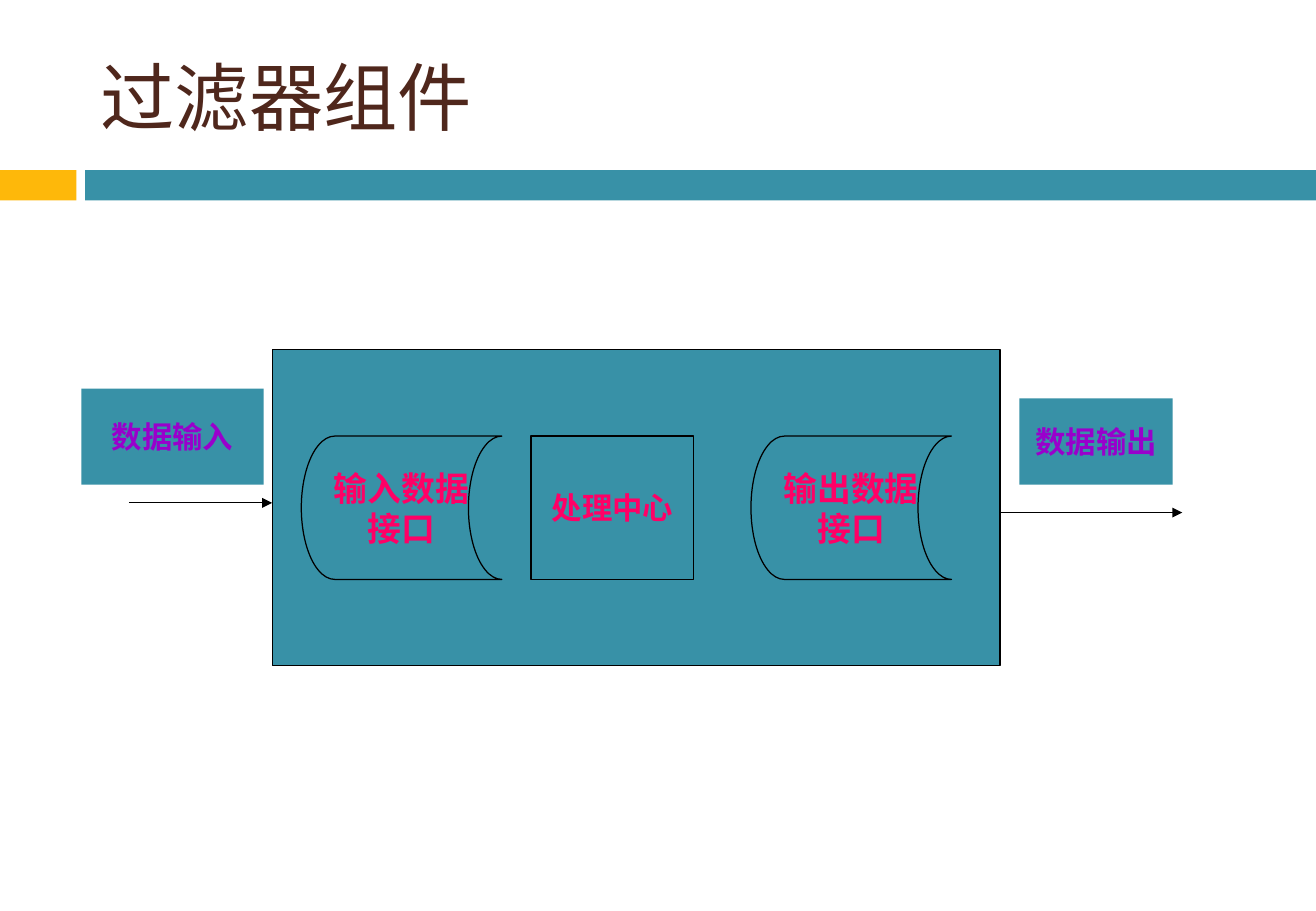
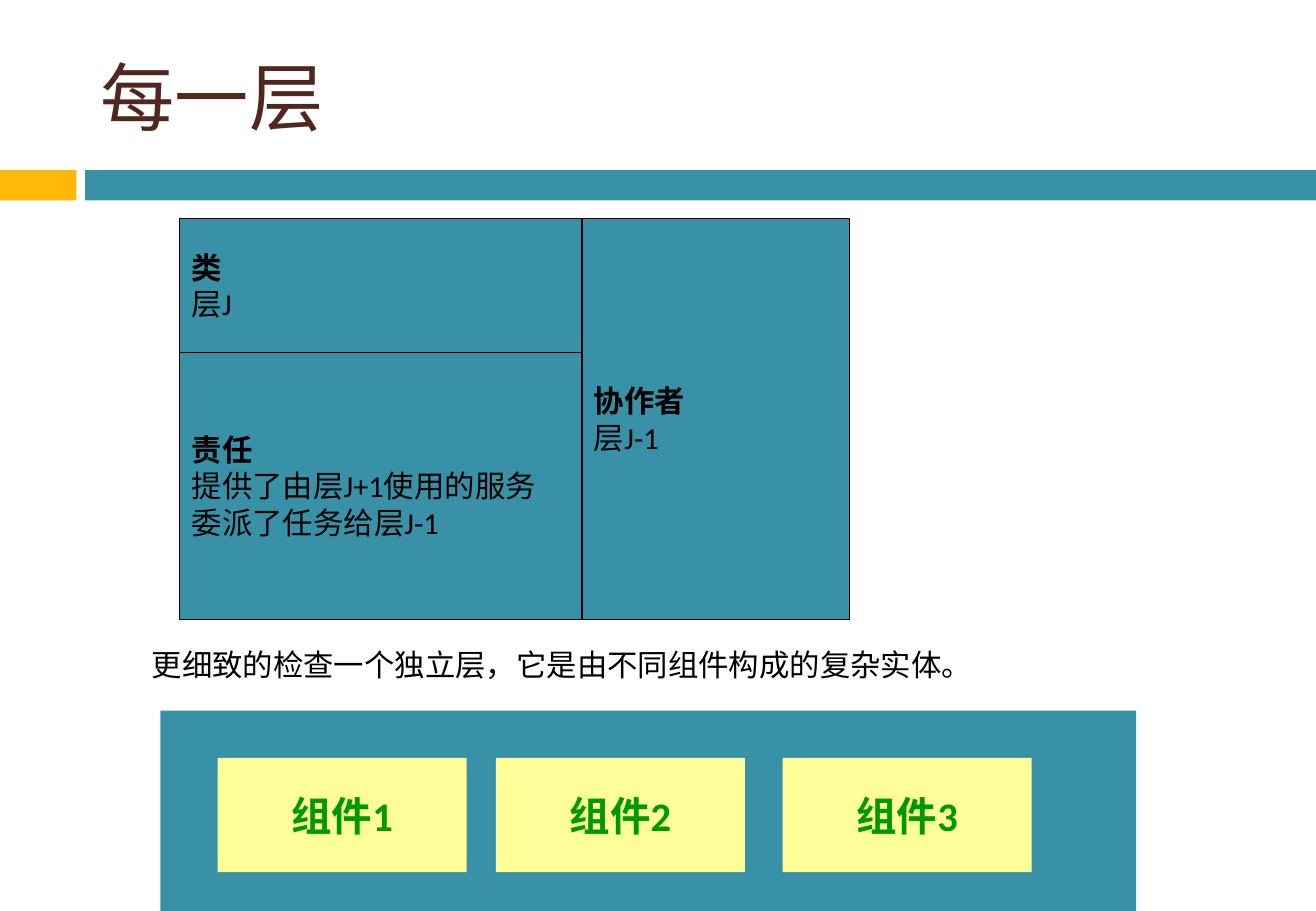
from dataclasses import dataclass
from typing import Optional

from lxml import etree
from pptx import Presentation
from pptx.dml.color import RGBColor
from pptx.enum.shapes import MSO_CONNECTOR, MSO_SHAPE
from pptx.enum.text import MSO_ANCHOR, PP_ALIGN
from pptx.oxml.ns import qn
from pptx.util import Inches, Pt

RECT = MSO_SHAPE.RECTANGLE
STORAGE = MSO_SHAPE.FLOWCHART_STORED_DATA
STRAIGHT = MSO_CONNECTOR.STRAIGHT
LEFT, CENTER = PP_ALIGN.LEFT, PP_ALIGN.CENTER
MIDDLE, TOP = MSO_ANCHOR.MIDDLE, MSO_ANCHOR.TOP

COLORS = {
    "title": "4F271C",
    "accent": "FEB80A",
    "teal": "3891A7",
    "black": "000000",
    "pink": "FF0066",
    "purple": "9900CC",
    "yellow": "FFFF99",
    "green": "009900",
}
FONT = "Calibri"
SLIDE_W, SLIDE_H = 10.83, 7.5
BAND_TOP, BAND_H, ACCENT_W, BAND_LEFT = 1.4, 0.25, 0.63, 0.7
LINE_PT = 0.75


@dataclass(frozen=True)
class TextStyle:
    size: float
    color: str
    bold: bool = False
    heading: bool = False  # only the first paragraph is bold
    align: PP_ALIGN = CENTER
    anchor: MSO_ANCHOR = MIDDLE
    wrap: bool = False


@dataclass(frozen=True)
class Box:
    left: float
    top: float
    width: float
    height: float
    lines: tuple[str, ...] = ()
    style: Optional[TextStyle] = None
    fill: str = "teal"
    outlined: bool = False
    preset: MSO_SHAPE = RECT


TITLE = TextStyle(44, "title", align=LEFT, wrap=True)
CORE = TextStyle(18, "pink", bold=True)
PORT = TextStyle(20, "pink", bold=True)
FLOW = TextStyle(18, "purple", bold=True)
CARD = TextStyle(18, "black", heading=True, align=LEFT, wrap=True)
NOTE = TextStyle(18, "black", align=LEFT, anchor=TOP, wrap=True)
COMPONENT = TextStyle(24, "green", bold=True)


def rgb(name: str) -> RGBColor:
    return RGBColor.from_string(COLORS[name])


def write(shape, lines: tuple[str, ...], style: TextStyle) -> None:
    frame = shape.text_frame
    frame.word_wrap = style.wrap
    frame.vertical_anchor = style.anchor
    for number, line in enumerate(lines):
        paragraph = frame.add_paragraph() if number else frame.paragraphs[0]
        paragraph.alignment = style.align
        run = paragraph.add_run()
        run.text = line
        bold = style.bold or (style.heading and number == 0)
        font_format = {"name": FONT, "size": Pt(style.size), "bold": bold}
        for attribute, value in font_format.items():
            setattr(run.font, attribute, value)
        run.font.color.rgb = rgb(style.color)


def add_box(slide, box: Box) -> None:
    shape = slide.shapes.add_shape(
        box.preset, Inches(box.left), Inches(box.top), Inches(box.width), Inches(box.height)
    )
    shape.shadow.inherit = False
    shape.fill.solid()
    shape.fill.fore_color.rgb = rgb(box.fill)
    if box.outlined:
        shape.line.color.rgb = rgb("black")
        shape.line.width = Pt(LINE_PT)
    else:
        shape.line.fill.background()
    if box.style:
        write(shape, box.lines, box.style)


def add_label(slide, left: float, top: float, width: float, height: float,
              text: str, style: TextStyle) -> None:
    label = slide.shapes.add_textbox(Inches(left), Inches(top), Inches(width), Inches(height))
    write(label, (text,), style)


def add_flow_arrow(slide, start: float, end: float, y: float) -> None:
    arrow = slide.shapes.add_connector(STRAIGHT, Inches(start), Inches(y), Inches(end), Inches(y))
    arrow.line.color.rgb = rgb("black")
    arrow.line.width = Pt(LINE_PT)
    etree.SubElement(arrow.line._get_or_add_ln(), qn("a:tailEnd"), type="triangle")
    etree.SubElement(arrow._element.spPr, qn("a:effectLst"))


def add_titled_slide(prs, title: str):
    """Add a blank slide with the shared bands and title."""
    slide = prs.slides.add_slide(prs.slide_layouts[6])
    add_box(slide, Box(0, BAND_TOP, ACCENT_W, BAND_H, fill="accent"))
    add_box(slide, Box(BAND_LEFT, BAND_TOP, SLIDE_W - BAND_LEFT, BAND_H))
    add_label(slide, 0.73, 0.25, 9.66, 1.08, title, TITLE)
    return slide


def build_filter_slide(prs) -> None:
    slide = add_titled_slide(prs, "过滤器组件")
    filter_left, filter_w = 2.24, 5.99
    filter_right = filter_left + filter_w
    part_top, part_h, port_w = 3.59, 1.18, 1.65
    boxes = [
        Box(filter_left, 2.88, filter_w, 2.6, outlined=True),
        Box(4.37, part_top, 1.34, part_h, ("处理中心",), CORE, outlined=True),
        Box(0.67, 3.2, 1.5, 0.79, ("数据输入",), FLOW),
        Box(8.39, 3.28, 1.26, 0.71, ("数据输出",), FLOW),
    ]
    for left, port in ((2.48, "输入数据"), (6.18, "输出数据")):
        boxes.append(Box(left, part_top, port_w, part_h, (port, "接口"), PORT,
                         outlined=True, preset=STORAGE))
    for box in boxes:
        add_box(slide, box)
    add_flow_arrow(slide, 1.06, filter_left, 4.14)
    add_flow_arrow(slide, filter_right, 9.73, 4.22)


def build_layer_slide(prs) -> None:
    slide = add_titled_slide(prs, "每一层")
    card_left, card_top, main_w, unit = 1.48, 1.8, 3.31, 1.1
    card = (
        Box(card_left, card_top, main_w, unit, ("类", "层J"), CARD, outlined=True),
        Box(card_left, card_top + unit, main_w, 2 * unit,
            ("责任", "提供了由层J+1使用的服务", "委派了任务给层J-1"), CARD, outlined=True),
        Box(card_left + main_w, card_top, 2 * unit, 3 * unit,
            ("协作者", "层J-1"), CARD, outlined=True),
    )
    for cell in card:
        add_box(slide, cell)

    add_label(slide, 1.15, 5.27, 7.28, 0.4,
              "更细致的检查一个独立层，它是由不同组件构成的复杂实体。", NOTE)

    layer_top = 5.85
    add_box(slide, Box(1.32, layer_top, 8.03, SLIDE_H - layer_top))
    for number, left in enumerate((1.79, 4.08, 6.44), start=1):
        add_box(slide, Box(left, 6.24, 2.05, 0.94, (f"组件{number}",), COMPONENT, fill="yellow"))


def main() -> None:
    prs = Presentation()
    prs.slide_width, prs.slide_height = Inches(SLIDE_W), Inches(SLIDE_H)
    build_filter_slide(prs)
    build_layer_slide(prs)
    prs.save("out.pptx")


if __name__ == "__main__":
    main()
